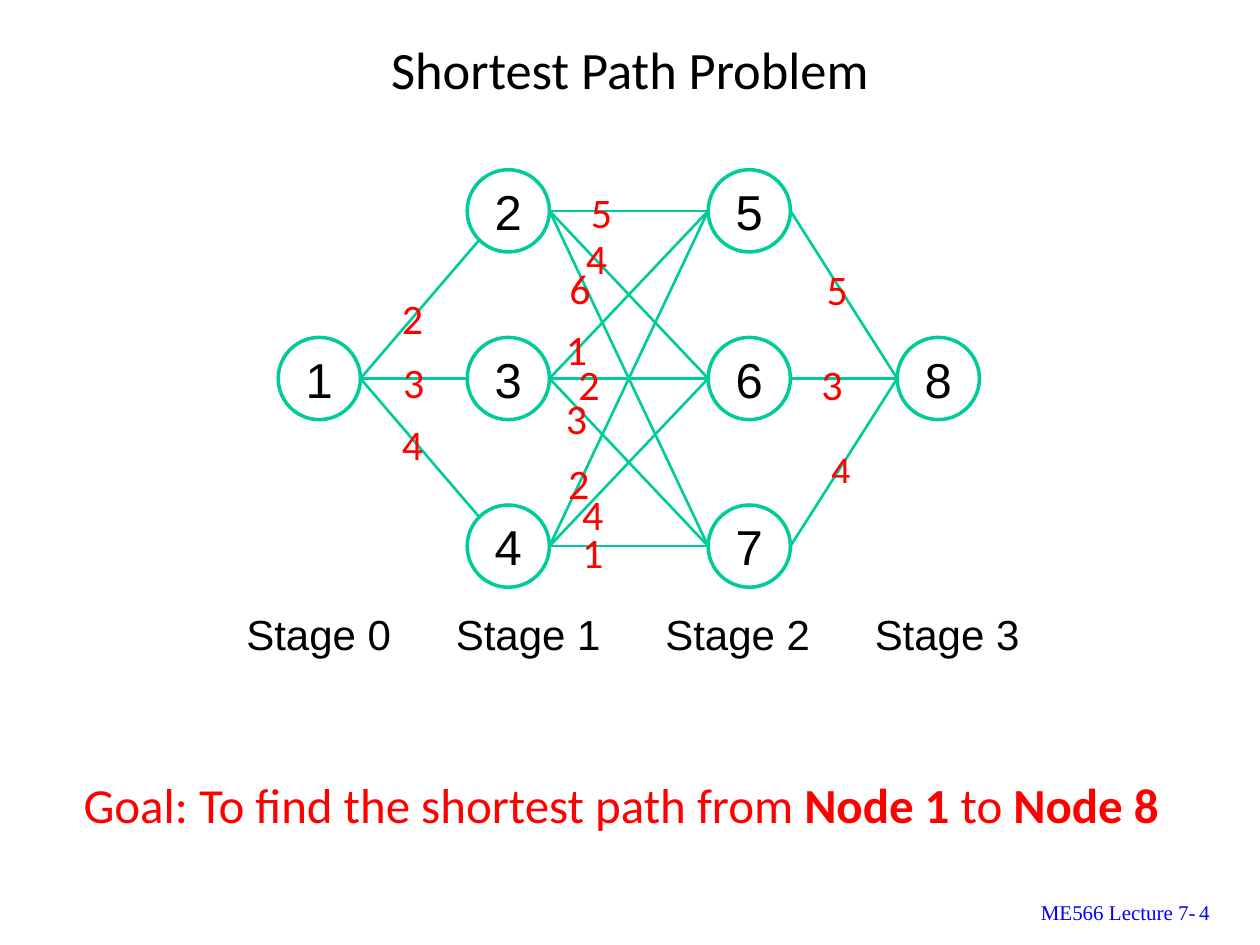
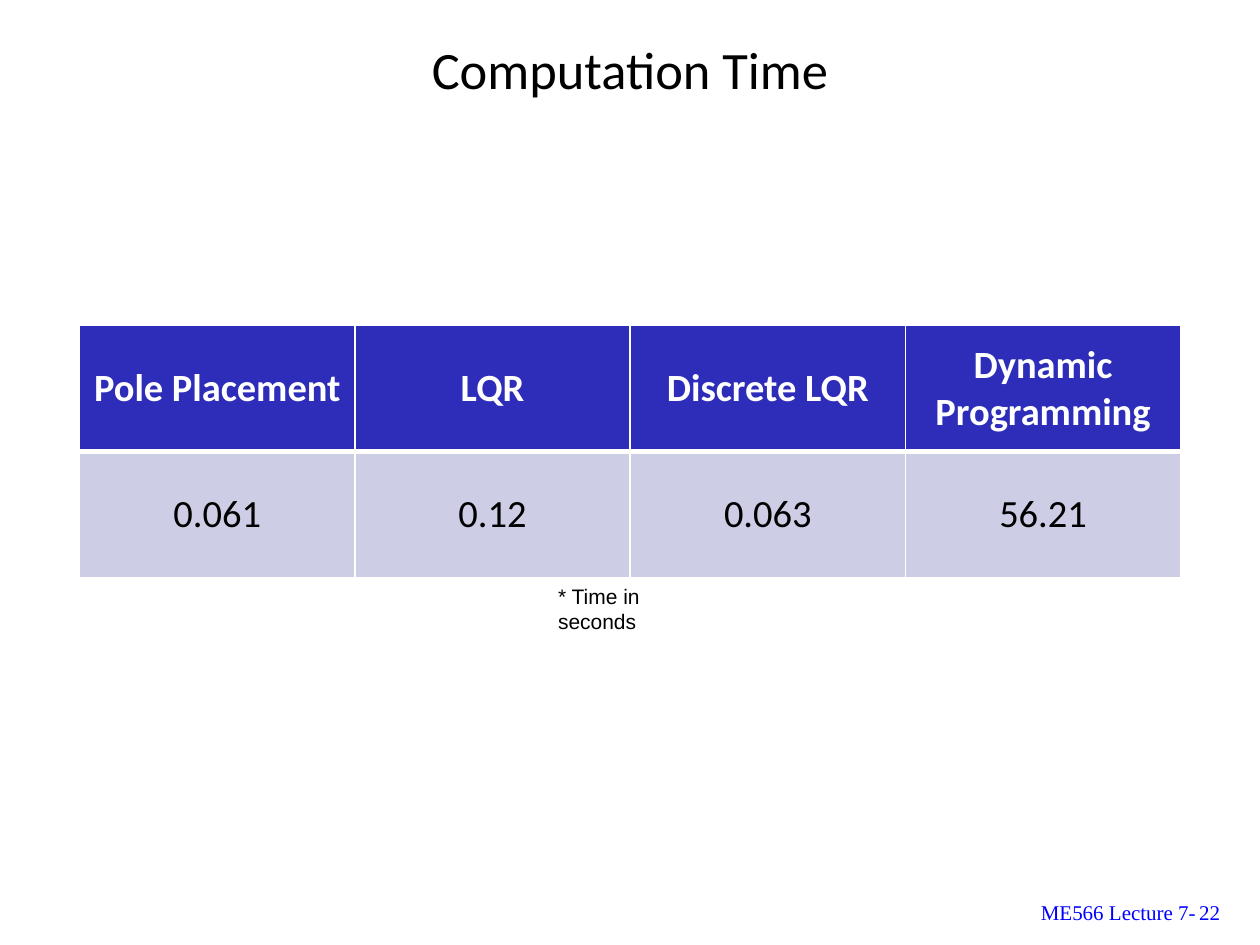
from math import sqrt

from lxml import etree
from pptx import Presentation
from pptx.dml.color import RGBColor
from pptx.enum import shapes, text
from pptx.oxml import ns
from pptx.util import Pt

COLORS = {
    "ink": "000000", "cost": "FF0000", "network": "00CC99", "footer": "0000FF",
    "header": "2D2DB9", "value": "CDCDE6", "white": "FFFFFF",
}
CENTER, LEFT, RIGHT = text.PP_ALIGN.CENTER, text.PP_ALIGN.LEFT, text.PP_ALIGN.RIGHT
MIDDLE = text.MSO_ANCHOR.MIDDLE

LECTURE = "ME566 Lecture 7-"

PATH_TITLE = "Shortest Path Problem"
GOAL = [("Goal: To find the shortest path from ", False), ("Node 1", True),
        (" to ", False), ("Node 8", True)]
STAGES = ["Stage 0", "Stage 1", "Stage 2", "Stage 3"]
# node: (stage, row)
NODES = {"1": (0, 1), "2": (1, 0), "3": (1, 1), "4": (1, 2),
         "5": (2, 0), "6": (2, 1), "7": (2, 2), "8": (3, 1)}
# from, to, cost, left and top of the cost label
EDGES = [
    ("1", "2", "2", 222.5, 163.5), ("1", "3", "3", 223.2, 200.2),
    ("1", "4", "4", 222.5, 235.4),
    ("2", "5", "5", 330.5, 103), ("2", "6", "4", 327.6, 129.6),
    ("2", "7", "6", 318.2, 146.2),
    ("3", "5", "1", 316.1, 181.4), ("3", "6", "2", 323.3, 201.6),
    ("3", "7", "3", 316.1, 221),
    ("4", "5", "2", 317.5, 257.8), ("4", "6", "4", 325.4, 275.8),
    ("4", "7", "1", 325.4, 297.4),
    ("5", "8", "5", 465.1, 146.9), ("6", "8", "3", 462.2, 201.6),
    ("7", "8", "4", 467.3, 252.7),
]

TIME_TITLE = "Computation Time"
TIMES = [["Pole Placement", "LQR", "Discrete LQR", "Dynamic Programming"],
         ["0.061", "0.12", "0.063", "56.21"]]
TIME_NOTE = "* Time in seconds"

STAGE_X = [182.5, 290.5, 428.2, 536.2]
ROW_Y = [120.5 + 95.8 * row for row in range(3)]
RADIUS = 23.5


def rgb(name):
    return RGBColor.from_string(COLORS[name])


def write(frame, runs, size, font, color, align=CENTER):
    """Fill the first paragraph with (words, bold) runs; a string is one plain run."""
    if isinstance(runs, str):
        runs = [(runs, False)]
    paragraph = frame.paragraphs[0]
    paragraph.alignment = align
    for words, bold in runs:
        run = paragraph.add_run()
        run.text = words
        run.font.size, run.font.name, run.font.bold = Pt(size), font, bold
        run.font.color.rgb = rgb(color)


def add_label(slide, box, runs, size, font, color, align=CENTER, wrap=False):
    frame = slide.shapes.add_textbox(*map(Pt, box)).text_frame
    frame.word_wrap = wrap
    write(frame, runs, size, font, color, align)


def add_slide(deck, title, number):
    """Add a slide with the shared title and footer."""
    slide = deck.slides.add_slide(deck.slide_layouts[5])
    heading = slide.shapes.title
    heading.left, heading.top, heading.width, heading.height = map(Pt, (54, 18, 612, 42))
    heading.text_frame.auto_size = text.MSO_AUTO_SIZE.NONE
    heading.text_frame.vertical_anchor = MIDDLE
    write(heading.text_frame, title, 30, "Calibri", "ink")
    for words, box, align in [(LECTURE, (462.2, 510.5, 228.3, 29.5), RIGHT),
                              (number, (678.2, 510.5, 36, 29.5), LEFT)]:
        add_label(slide, box, words, 12, "Times New Roman", "footer", align, wrap=True)
    return slide


def add_node(slide, name):
    stage, row = NODES[name]
    node = slide.shapes.add_shape(
        shapes.MSO_SHAPE.OVAL, Pt(STAGE_X[stage] - RADIUS), Pt(ROW_Y[row] - RADIUS),
        Pt(2 * RADIUS), Pt(2 * RADIUS))
    node.shadow.inherit = False
    node.fill.background()
    node.line.color.rgb, node.line.width = rgb("network"), Pt(2)
    node.text_frame.word_wrap = False
    node.text_frame.vertical_anchor = MIDDLE
    write(node.text_frame, name, 28, "Arial", "ink")


def add_edge(slide, start, end):
    """Join right side to left side; edges that fan out of node 1 meet the rim at 45°."""
    (stage, row), (next_stage, next_row) = NODES[start], NODES[end]
    reach, rise = RADIUS, 0
    if stage == 0 and row != next_row:
        reach = RADIUS / sqrt(2)
        rise = reach if next_row < row else -reach
    edge = slide.shapes.add_connector(
        shapes.MSO_CONNECTOR.STRAIGHT,
        Pt(STAGE_X[stage] + RADIUS), Pt(ROW_Y[row]),
        Pt(STAGE_X[next_stage] - reach), Pt(ROW_Y[next_row] + rise))
    edge.line.color.rgb, edge.line.width = rgb("network"), Pt(1.5)
    etree.SubElement(edge.element.spPr, ns.qn("a:effectLst"))


def set_borders(cell, widths):
    """Draw white borders, widths in points by side."""
    properties = cell._tc.get_or_add_tcPr()
    for side, width in widths.items():
        border = etree.SubElement(properties, ns.qn(f"a:ln{side}"), w=str(Pt(width)))
        fill = etree.SubElement(border, ns.qn("a:solidFill"))
        etree.SubElement(fill, ns.qn("a:srgbClr"), val=COLORS["white"])


def build_path_slide(deck):
    slide = add_slide(deck, PATH_TITLE, "4")
    add_label(slide, (36.7, 439.2, 636.5, 41), GOAL, 28, "Calibri", "cost")
    for name in NODES:
        add_node(slide, name)
    for start, end, *_ in EDGES:
        add_edge(slide, start, end)
    for index, stage in enumerate(STAGES):
        add_label(slide, (133.2 + 119.7 * index, 344.2, 97.9, 36), stage, 24, "Arial", "ink")
    for start, _, cost, left, top in EDGES:
        size, font = (20, "Arial") if start == "7" else (24, "Calibri")
        add_label(slide, (left, top, 26.6, 1.5 * size), cost, size, font, "cost")


def build_time_slide(deck):
    slide = add_slide(deck, TIME_TITLE, "22")
    table = slide.shapes.add_table(
        len(TIMES), len(TIMES[0]), Pt(45.5), Pt(186), Pt(629.2), Pt(144)).table
    table.horz_banding = False
    for row, values in enumerate(TIMES):
        is_header = row == 0
        for column, value in enumerate(values):
            cell = table.cell(row, column)
            set_borders(cell, {"L": 1, "R": 1, "T": 1 if is_header else 3,
                               "B": 3 if is_header else 1})
            cell.fill.solid()
            cell.fill.fore_color.rgb = rgb("header" if is_header else "value")
            cell.vertical_anchor = MIDDLE
            write(cell.text_frame, [(value, is_header)], 22, "Calibri",
                  "white" if is_header else "ink")
    add_label(slide, (311.8, 329.8, 102.2, 21.6), TIME_NOTE, 12, "Arial", "ink", LEFT, wrap=True)


def main():
    deck = Presentation()
    deck.slide_width, deck.slide_height = Pt(720), Pt(540)
    build_path_slide(deck)
    build_time_slide(deck)
    deck.save("out.pptx")


if __name__ == "__main__":
    main()
